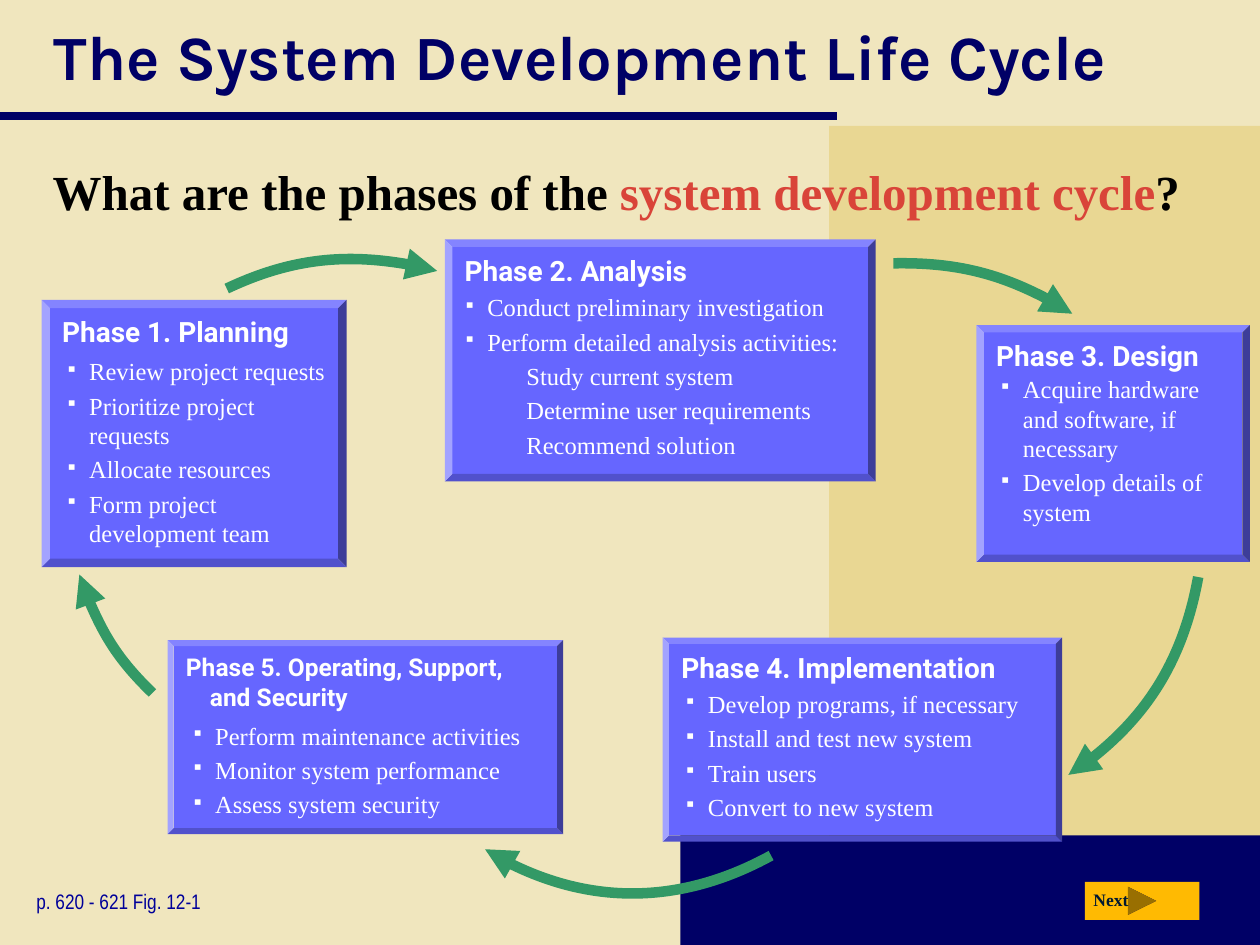
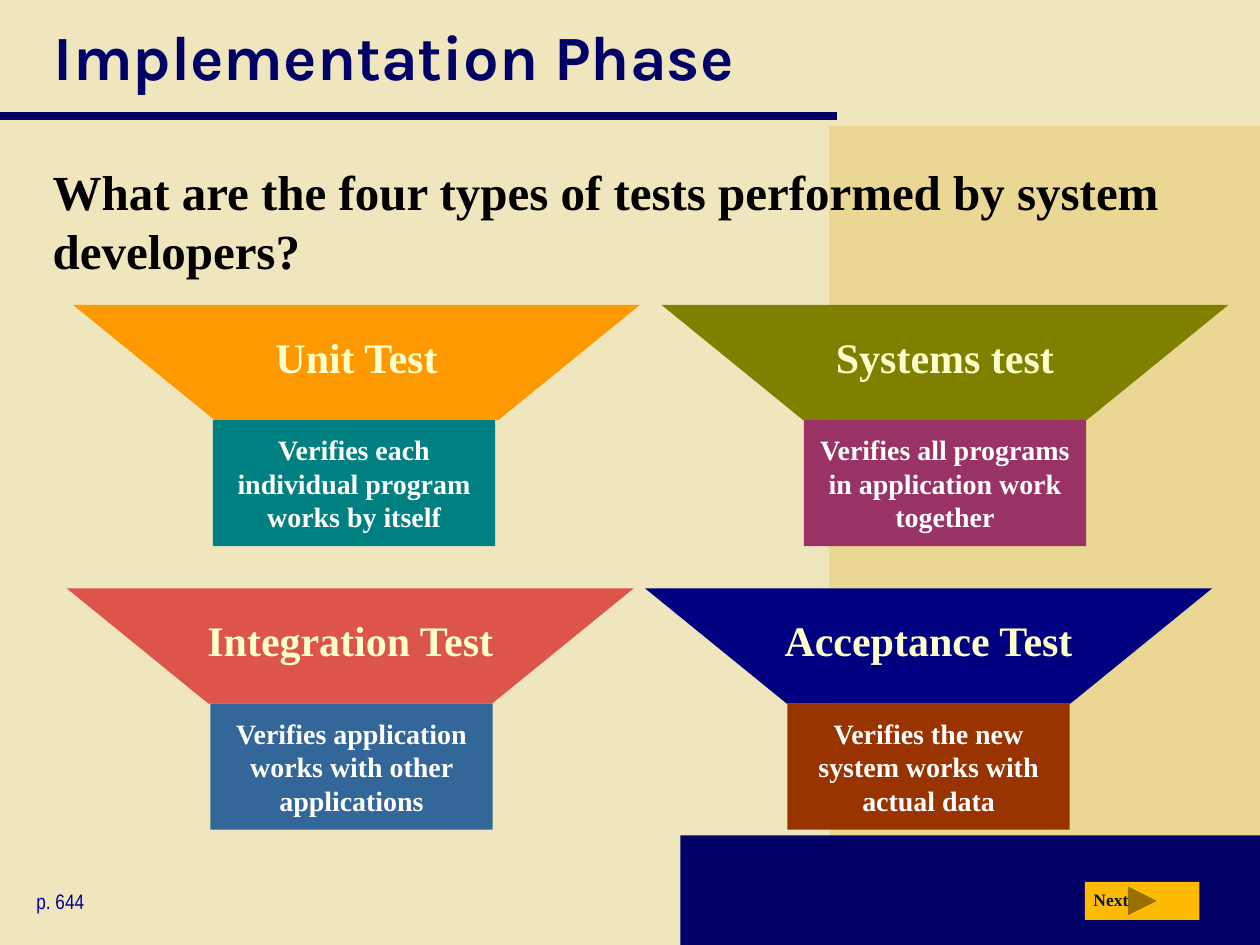
"""Build two slides on the system development life cycle and its tests."""
from lxml.etree import SubElement
from pptx import Presentation
from pptx.dml.color import RGBColor
from pptx.enum.shapes import MSO_CONNECTOR, MSO_SHAPE
from pptx.enum.text import MSO_ANCHOR, PP_ALIGN
from pptx.oxml.ns import qn
from pptx.util import Inches, Pt


class Theme:
    background = "F0E6BE"
    sand = "E9D793"
    navy = "000066"
    button = "FFBA02"
    panel = "6666FF"
    arrow = "339966"
    accent = "D94439"
    title = ("Karla", 36, navy, True)
    question = ("Times New Roman", 28, "000000", True)
    page_ref = ("Arial Narrow", 12, "000099", False)
    next_label = ("Times New Roman", 10, "001932", True)
    phase = ("Roboto", 16, "FFFFFF", True)
    long_phase = ("Roboto", 14, "FFFFFF", True)
    step = ("Times New Roman", 14, "FFFFFF", False)
    test = ("Times New Roman", 24, "FFFFCC", True)
    purpose = ("Times New Roman", 16, "FFFFFF", True)


def paint(shape, color):
    shape.shadow.inherit = False
    shape.fill.solid()
    shape.fill.fore_color.rgb = RGBColor.from_string(color)
    shape.line.fill.background()


def write(shape, lines, style, align=PP_ALIGN.LEFT, anchor=MSO_ANCHOR.TOP):
    name, size, color, bold = style
    frame = shape.text_frame
    frame.word_wrap = True
    frame.vertical_anchor = anchor
    frame.text = "\n".join(lines)
    for para in frame.paragraphs:
        para.alignment = align
        for span in para.runs:
            span.font.name = name
            span.font.size = Pt(size)
            span.font.bold = bold
            span.font.color.rgb = RGBColor.from_string(color)
    return frame


deck = Presentation()
deck.slide_width, deck.slide_height = Inches(10), Inches(7.5)
blank = deck.slide_layouts[6]
blank.background.fill.solid()
blank.background.fill.fore_color.rgb = RGBColor.from_string(Theme.background)

bands = [
    (6.58, 1, 3.42, 6.5, Theme.sand),
    (5.4, 6.63, 4.6, 0.87, Theme.navy),
]
outline = [
    ("The System Development Life Cycle",
     "What are the phases of the system development cycle?",
     "system development cycle", "p. 620 - 621 Fig. 12-1", 0.89),
    ("Implementation Phase",
     "What are the four types of tests performed by system developers?",
     "", "p. 644", 1.22),
]

for title, question, key_term, page_ref, question_height in outline:
    page = deck.slides.add_slide(blank)
    for left, top, width, height, color in bands:
        band = page.shapes.add_shape(
            MSO_SHAPE.RECTANGLE, Inches(left), Inches(top), Inches(width), Inches(height))
        paint(band, color)
    rule = page.shapes.add_connector(
        MSO_CONNECTOR.STRAIGHT, 0, Inches(0.92), Inches(6.64), Inches(0.92))
    rule.line.width = Pt(5)
    rule.line.color.rgb = RGBColor.from_string(Theme.navy)
    SubElement(rule.element.spPr, qn("a:effectLst"))

    box = page.shapes.add_textbox(Inches(0.33), 0, Inches(9.39), Inches(0.88))
    write(box, [title], Theme.title, anchor=MSO_ANCHOR.MIDDLE)

    box = page.shapes.add_textbox(
        Inches(0.32), Inches(1.19), Inches(9.39), Inches(question_height))
    box.text_frame.margin_top = Inches(0.09)
    if key_term:
        before, after = question.split(key_term)
        para = box.text_frame.paragraphs[0]
        name, size, color, bold = Theme.question
        pieces = [(before, color), (key_term, Theme.accent), (after, color)]
        box.text_frame.word_wrap = True
        for text, piece_color in pieces:
            span = para.add_run()
            span.text = text
            span.font.name, span.font.size, span.font.bold = name, Pt(size), bold
            span.font.color.rgb = RGBColor.from_string(piece_color)
    else:
        write(box, [question], Theme.question)

    box = page.shapes.add_textbox(Inches(0.19), Inches(7), Inches(1.69), Inches(0.3))
    write(box, [page_ref], Theme.page_ref)

    next_group = page.shapes.add_group_shape().shapes
    button = next_group.add_shape(
        MSO_SHAPE.ACTION_BUTTON_FORWARD_OR_NEXT,
        Inches(8.61), Inches(7), Inches(0.91), Inches(0.3))
    paint(button, Theme.button)
    label = next_group.add_textbox(Inches(8.58), Inches(7.01), Inches(0.51), Inches(0.27))
    write(label, ["Next"], Theme.next_label)

cycle_page, tests_page = deck.slides

phases = [
    ("Phase 1. Planning", Theme.phase, (0.33, 2.38, 2.42, 2.12), (0.42, 2.78, 2.33, 1.64),
     ["Review project requests", "Prioritize project requests",
      "Allocate resources", "Form project development team"], []),
    ("Phase 2. Analysis", Theme.phase, (3.53, 1.9, 3.42, 1.92), (3.58, 2.27, 3.33, 1.45),
     ["Conduct preliminary investigation", "Perform detailed analysis activities:"],
     ["Study current system", "Determine user requirements", "Recommend solution"]),
    ("Phase 3. Design", Theme.phase, (7.75, 2.58, 2.17, 1.88), (7.83, 2.92, 1.92, 1.31),
     ["Acquire hardware and software, if necessary", "Develop details of system"], []),
    ("Phase 4. Implementation", Theme.phase, (5.26, 5.06, 3.17, 1.62),
     (5.33, 5.42, 2.92, 1.17),
     ["Develop programs, if necessary", "Install and test new system",
      "Train users", "Convert to new system"], []),
    ("Phase 5. Operating, Support, and Security", Theme.long_phase,
     (1.33, 5.08, 3.14, 1.54), (1.42, 5.67, 3.03, 0.89),
     ["Perform maintenance activities", "Monitor system performance",
      "Assess system security"], []),
]
hanging = Inches(0.19)

for heading, style, panel_area, steps_area, steps, substeps in phases:
    panel = cycle_page.shapes.add_shape(MSO_SHAPE.BEVEL, *map(Inches, panel_area))
    panel.adjustments[0] = 0.031
    paint(panel, Theme.panel)
    frame = write(panel, [heading], style)
    properties = frame.paragraphs[0]._p.get_or_add_pPr()
    properties.set("marL", str(hanging))
    properties.set("indent", str(-hanging))

    box = cycle_page.shapes.add_textbox(*map(Inches, steps_area))
    frame = write(box, steps + substeps, Theme.step)
    for number, para in enumerate(frame.paragraphs):
        if number:
            para.space_before = Pt(2.8)
        properties = para._p.get_or_add_pPr()
        if number < len(steps):
            properties.set("marL", str(hanging))
            properties.set("indent", str(-hanging))
            SubElement(properties, qn("a:buSzPct"), val="70000")
            SubElement(properties, qn("a:buChar"), char="▪")
        else:
            para.level = 1
            properties.set("marL", str(Inches(0.5)))
            properties.set("indent", "0")

arrow_curves = [
    [(1.8, 2.29), (2.33, 2.04), (2.93, 2), (3.47, 2.15)],
    [(7.09, 2.09), (7.6, 2.08), (8.1, 2.22), (8.51, 2.49)],
    [(9.51, 4.58), (9.39, 5.24), (9.02, 5.81), (8.48, 6.15)],
    [(6.12, 6.79), (5.39, 7.19), (4.52, 7.17), (3.85, 6.74)],
    [(1.21, 5.5), (0.94, 5.24), (0.74, 4.91), (0.63, 4.56)],
]
for curve in arrow_curves:
    start, *controls = [(Inches(x), Inches(y)) for x, y in curve]
    builder = cycle_page.shapes.build_freeform(*start)
    builder.add_line_segments(controls, close=False)
    arrow = builder.convert_to_shape()
    arrow.shadow.inherit = False
    arrow.fill.background()
    arrow.line.width = Pt(6)
    arrow.line.color.rgb = RGBColor.from_string(Theme.arrow)
    SubElement(arrow.line._get_or_add_ln(), qn("a:tailEnd"), type="triangle")
    segments = list(arrow.element.iter(qn("a:lnTo")))
    bezier = SubElement(segments[0].getparent(), qn("a:cubicBezTo"))
    for segment in segments:
        bezier.append(segment[0])
        segment.getparent().remove(segment)

tests = [
    ("Unit Test", "FF9900", 0.58, 2.42,
     "Verifies each individual program works by itself", "008080", 1.69),
    ("Systems test", "808000", 5.25, 2.42,
     "Verifies all programs in application work together", "993366", 6.38),
    ("Integration Test", "DC544A", 0.53, 4.67,
     "Verifies application works with other applications", "336699", 1.67),
    ("Acceptance Test", "000080", 5.12, 4.67,
     "Verifies the new system works with actual data", "993300", 6.25),
]
funnel_width, funnel_height = 4.5, 0.915

for test, funnel_color, left, top, purpose, purpose_color, purpose_left in tests:
    bottom = top + funnel_height
    corners = [
        (left + funnel_width / 4, bottom),
        (left + funnel_width * 3 / 4, bottom),
        (left + funnel_width, top),
    ]
    builder = tests_page.shapes.build_freeform(Inches(left), Inches(top))
    builder.add_line_segments([(Inches(x), Inches(y)) for x, y in corners])
    funnel = builder.convert_to_shape()
    paint(funnel, funnel_color)
    frame = write(funnel, [test], Theme.test, PP_ALIGN.CENTER, MSO_ANCHOR.MIDDLE)
    frame.margin_top, frame.margin_bottom = 0, Inches(0.1)

    box = tests_page.shapes.add_shape(
        MSO_SHAPE.RECTANGLE, Inches(purpose_left), Inches(bottom), Inches(2.24), Inches(1))
    paint(box, purpose_color)
    write(box, [purpose], Theme.purpose, PP_ALIGN.CENTER, MSO_ANCHOR.MIDDLE)

deck.save("out.pptx")
